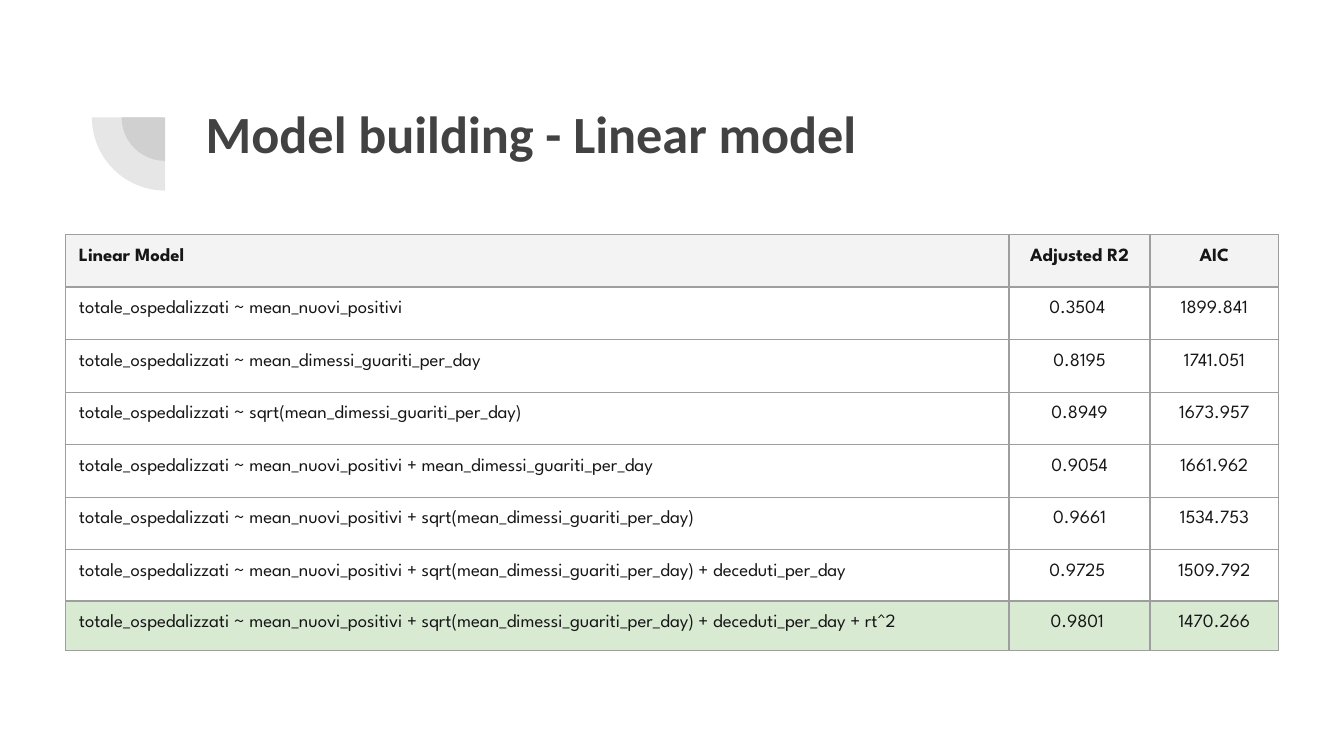
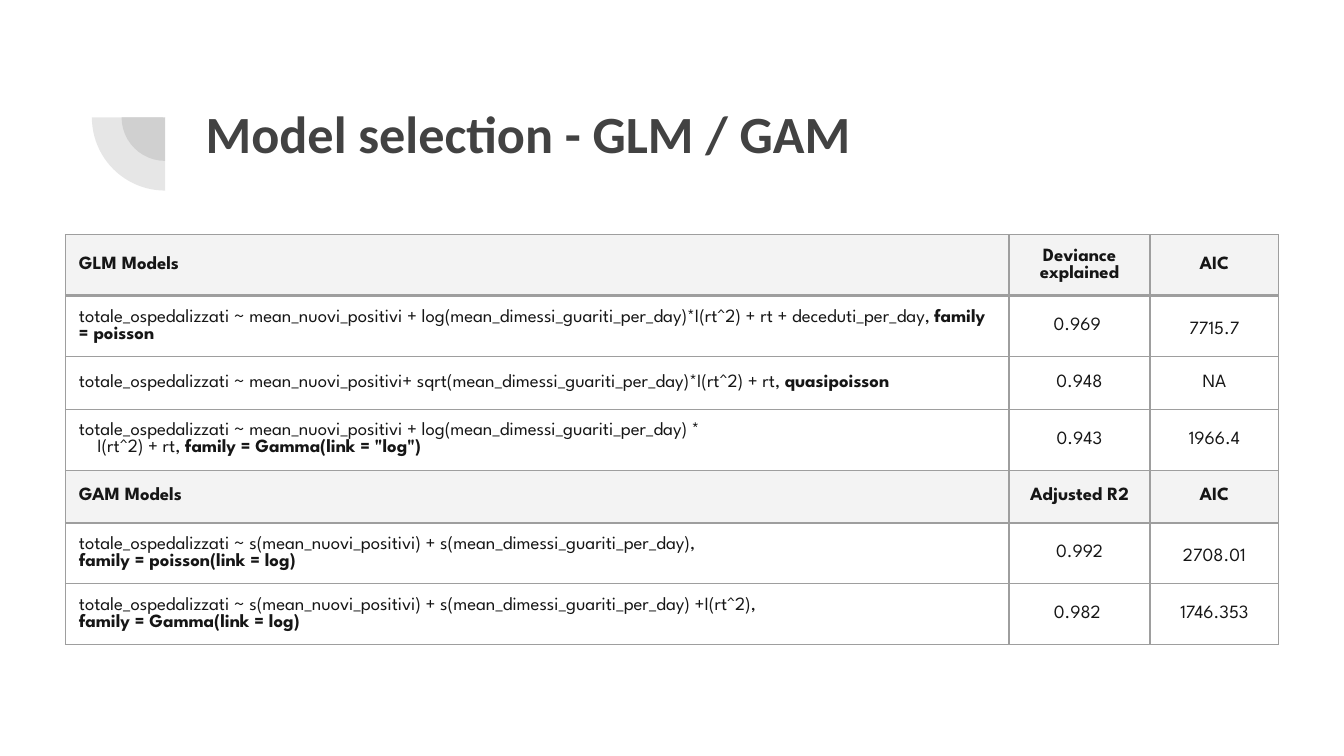
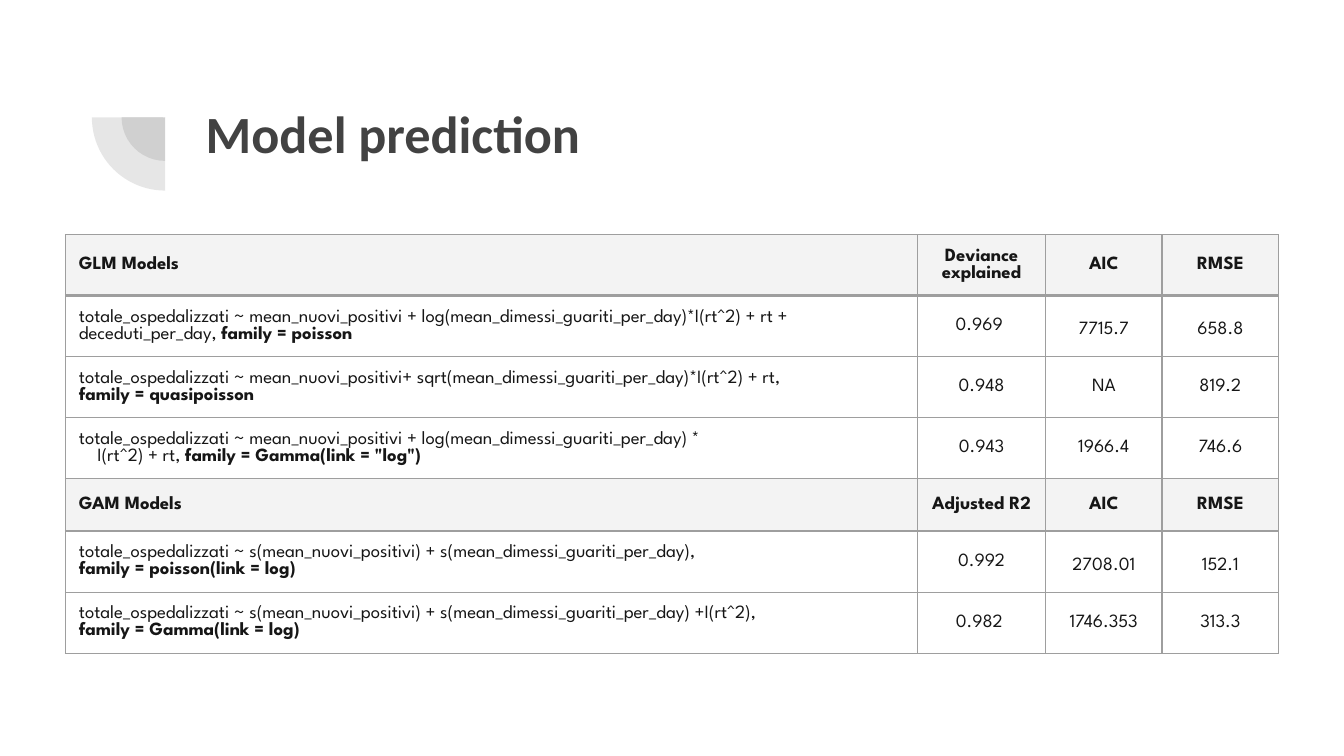
from lxml.etree import SubElement
from pptx import Presentation
from pptx.dml.color import RGBColor
from pptx.enum.shapes import MSO_SHAPE
from pptx.enum.text import MSO_ANCHOR, MSO_AUTO_SIZE, PP_ALIGN
from pptx.oxml.ns import qn
from pptx.util import Pt

COLORS = {
    "title": "424242",
    "text": "161616",
    "border": "9E9E9E",
    "header": "F3F3F3",
    "best": "D9EAD3",
}
TITLE_FONT, TABLE_FONT = "Calibri", "League Spartan"
INSET = 7.2
THIN, THICK = 0.75, 1.5
TABLE_LEFT, TABLE_TOP = 35.1, 125.7

# Content: in a formula, the part of a line after "|" is bold
LINEAR_ROWS = [
    ("header", "Linear Model", "Adjusted R2", "AIC"),
    ("model", "totale_ospedalizzati ~ mean_nuovi_positivi", "0.3504 ", "1899.841"),
    ("model", "totale_ospedalizzati ~ mean_dimessi_guariti_per_day", "0.8195", "1741.051"),
    ("model", "totale_ospedalizzati ~ sqrt(mean_dimessi_guariti_per_day)", "0.8949", "1673.957"),
    ("model", "totale_ospedalizzati ~ mean_nuovi_positivi + mean_dimessi_guariti_per_day",
     "0.9054", "1661.962"),
    ("model", "totale_ospedalizzati ~ mean_nuovi_positivi + sqrt(mean_dimessi_guariti_per_day)",
     "0.9661", "1534.753"),
    ("model", "totale_ospedalizzati ~ mean_nuovi_positivi + sqrt(mean_dimessi_guariti_per_day)"
     " + deceduti_per_day", "0.9725 ", "1509.792"),
    ("best", "totale_ospedalizzati ~ mean_nuovi_positivi + sqrt(mean_dimessi_guariti_per_day)"
     " + deceduti_per_day + rt^2", "0.9801 ", "1470.266"),
]
QUASIPOISSON = ("totale_ospedalizzati ~ mean_nuovi_positivi"
                "+ sqrt(mean_dimessi_guariti_per_day)*I(rt^2) + rt,")
PREDICTION_ROWS = [
    ("header", "GLM Models", "Deviance explained", "AIC", "RMSE"),
    ("model", "totale_ospedalizzati ~ mean_nuovi_positivi + log(mean_dimessi_guariti_per_day)"
     "*I(rt^2) + rt + deceduti_per_day, |family = poisson", "0.969 ", "7715.7", "658.8"),
    ("model", QUASIPOISSON + "\n|family = quasipoisson", "0.948", "NA", "819.2"),
    ("model", "totale_ospedalizzati ~ mean_nuovi_positivi + log(mean_dimessi_guariti_per_day) *\n"
     '    I(rt^2) + rt, |family = Gamma(link = "log")', "0.943", "1966.4", "746.6"),
    ("header", "GAM Models", "Adjusted R2", "AIC", "RMSE"),
    ("model", "totale_ospedalizzati ~ s(mean_nuovi_positivi) + s(mean_dimessi_guariti_per_day),\n"
     "|family = poisson(link = log)", "0.992", "2708.01", "152.1"),
    ("model", "totale_ospedalizzati ~ s(mean_nuovi_positivi) + s(mean_dimessi_guariti_per_day)"
     " +I(rt^2),\n|family = Gamma(link = log)", "0.982 ", "1746.353", "313.3"),
]
# The selection table has no RMSE and a shorter quasipoisson formula
SELECTION_ROWS = [row[:-1] for row in PREDICTION_ROWS]
SELECTION_ROWS[2] = ("model", QUASIPOISSON + " |quasipoisson", "0.948", "NA")

NARROW, WIDE = (505.5, 75.5, 69), (456.5, 68.5, 62.5, 62.5)
SLIDES = [
    {"title": "Model building - Linear model", "rows": LINEAR_ROWS, "widths": NARROW,
     "heights": [28.15] * 6 + [27.4, 26.4], "anchor": MSO_ANCHOR.TOP, "lead_spacing": None},
    {"title": "Model selection - GLM / GAM", "rows": SELECTION_ROWS, "widths": NARROW,
     "heights": [28.15] * 6 + [27.4], "anchor": MSO_ANCHOR.MIDDLE, "lead_spacing": 1.45},
    {"title": "Model prediction", "rows": PREDICTION_ROWS, "widths": WIDE,
     "heights": [28.15] * 6 + [27.4], "anchor": MSO_ANCHOR.MIDDLE, "lead_spacing": 1.45},
]


def color(name):
    return RGBColor.from_string(COLORS[name])


def set_font(font, family, size, name, bold):
    font.name, font.size, font.bold = family, Pt(size), bold
    font.color.rgb = color(name)


def set_margins(target):
    target.margin_left = target.margin_right = Pt(INSET)
    target.margin_top = target.margin_bottom = Pt(INSET)


def add_quarter_circles(page):
    """Two translucent quarter circles around one centre."""
    center_x, center_y = 88.5, 62.8
    for size in (46.8, 78.6):
        pie = page.shapes.add_shape(MSO_SHAPE.PIE, Pt(center_x - size / 2),
                                    Pt(center_y - size / 2), Pt(size), Pt(size))
        pie.adjustments[0], pie.adjustments[1] = 108, 162
        pie.rotation = 270
        pie.shadow.inherit = False
        pie.fill.solid()
        pie.fill.fore_color.rgb = color("title")
        SubElement(pie.element.xpath(".//a:srgbClr")[0], qn("a:alpha"), val="13000")
        pie.line.fill.background()


def set_title(page, text):
    title = page.shapes.title
    title.left, title.top, title.width, title.height = Pt(103), Pt(46.8), Pt(553.7), Pt(78.5)
    frame = title.text_frame
    frame.text = text
    frame.word_wrap = True
    frame.auto_size = MSO_AUTO_SIZE.NONE
    frame.vertical_anchor = MSO_ANCHOR.TOP
    set_margins(frame)
    para = frame.paragraphs[0]
    para.alignment = PP_ALIGN.LEFT
    set_font(para.runs[0].font, TITLE_FONT, 28, "title", True)


def set_borders(cell, top, bottom):
    properties = cell._tc.get_or_add_tcPr()
    for side, width in (("L", THIN), ("R", THIN), ("T", top), ("B", bottom)):
        line = SubElement(properties, qn("a:ln" + side), w=str(Pt(width)))
        fill = SubElement(line, qn("a:solidFill"))
        SubElement(fill, qn("a:srgbClr"), val=COLORS["border"])


def write_cell(cell, text, header, alignment, spacing):
    for index, line in enumerate(text.split("\n")):
        frame = cell.text_frame
        para = frame.add_paragraph() if index else frame.paragraphs[0]
        para.alignment = alignment
        if spacing:
            para.line_spacing = spacing
        for part, words in enumerate(line.split("|")):
            if words:
                span = para.add_run()
                span.text = words
                set_font(span.font, TABLE_FONT, 10, "text", header or part == 1)


def add_model_table(page, rows, widths, heights, anchor, lead_spacing):
    frame = page.shapes.add_table(len(rows), len(widths), Pt(TABLE_LEFT), Pt(TABLE_TOP),
                                  Pt(sum(widths)), Pt(sum(heights)))
    table = frame.table
    table.first_row = table.horz_banding = False
    for column, width in zip(table.columns, widths):
        column.width = Pt(width)
    for row, height in zip(table.rows, heights):
        row.height = Pt(height)

    previous = None
    for row_index, (kind, *texts) in enumerate(rows):
        header, after_header = kind == "header", previous == "header"
        for column_index, text in enumerate(texts):
            cell = table.cell(row_index, column_index)
            set_margins(cell)
            cell.vertical_anchor = anchor
            set_borders(cell, THICK if after_header else THIN, THICK if header else THIN)
            if kind in COLORS:
                cell.fill.solid()
                cell.fill.fore_color.rgb = color(kind)
            else:
                cell.fill.background()
            write_cell(cell, text, header,
                       PP_ALIGN.CENTER if column_index else PP_ALIGN.LEFT,
                       lead_spacing if after_header and column_index > 1 else None)
        previous = kind


def main():
    deck = Presentation()
    deck.slide_width, deck.slide_height = Pt(720), Pt(405)
    for content in SLIDES:
        page = deck.slides.add_slide(deck.slide_layouts[5])
        add_quarter_circles(page)
        set_title(page, content["title"])
        add_model_table(page, content["rows"], content["widths"], content["heights"],
                        content["anchor"], content["lead_spacing"])
    deck.save("out.pptx")


if __name__ == "__main__":
    main()
